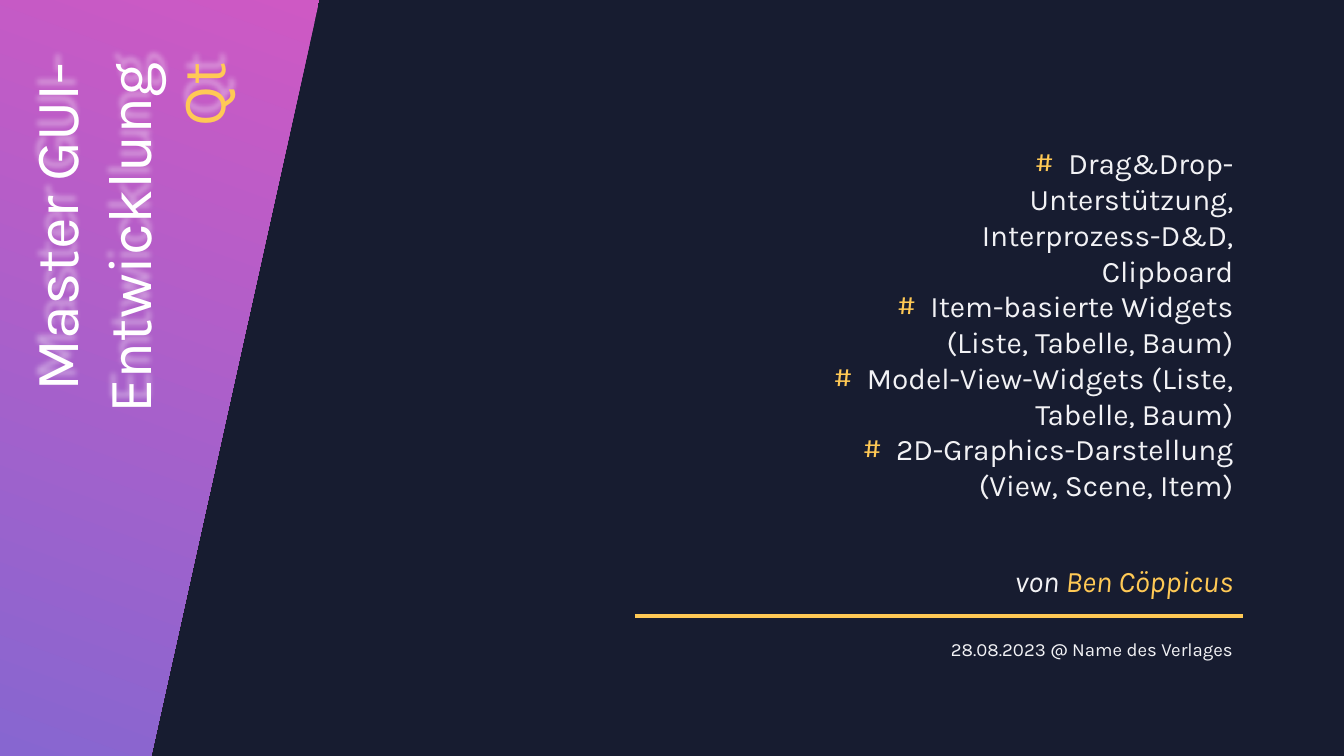
from lxml.etree import SubElement
from pptx import Presentation
from pptx.dml.color import RGBColor
from pptx.enum.shapes import MSO_CONNECTOR
from pptx.enum.text import MSO_AUTO_SIZE, PP_ALIGN
from pptx.oxml.ns import qn
from pptx.util import Cm, Pt

COLORS = {
    "night": "171C30",
    "pink": "CE59C4",
    "violet": "8766D0",
    "white": "FFFFFF",
    "pale": "F2F2F5",
    "gold": "FFC955",
}
FONT = "Karla"

# Each paragraph is a list of (text, colour) runs.
TITLE = [[("Master GUI-Entwicklung", "white")], [("Qt", "gold")]]
TOPICS = [
    [("Drag&Drop-Unterstützung, Interprozess-D&D, Clipboard", "pale")],
    [("Item-basierte Widgets (Liste, Tabelle, Baum)", "pale")],
    [("Model-View-Widgets (Liste, Tabelle, Baum)", "pale")],
    [("2D-Graphics-Darstellung (View, Scene, Item)", "pale")],
]
AUTHOR = [[("von ", "pale"), ("Ben Cöppicus", "gold")]]
DATE = [[("28.08.2023 @ Name des Verlages", "pale")]]

# Lengths in cm
SLIDE_WIDTH, SLIDE_HEIGHT = 33.87, 19.05
BAND_TOP_WIDTH, BAND_BOTTOM_WIDTH = 8.05, 3.81
RIGHT_EDGE = 31.33
RULE_LEFT, RULE_Y = 16, 15.52
BULLET_INDENT = 0.84


def rgb(name):
    return RGBColor.from_string(COLORS[name])


def add_text(slide, paragraphs, left, top, width, height, size, italic=False):
    """Add a right-aligned text box and return it."""
    box = slide.shapes.add_textbox(Cm(left), Cm(top), Cm(width), Cm(height))
    frame = box.text_frame
    frame.word_wrap = True
    frame.auto_size = MSO_AUTO_SIZE.SHAPE_TO_FIT_TEXT
    for index, runs in enumerate(paragraphs):
        paragraph = frame.add_paragraph() if index else frame.paragraphs[0]
        paragraph.alignment = PP_ALIGN.RIGHT
        for text, color in runs:
            run = paragraph.add_run()
            run.text = text
            run.font.name = FONT
            run.font.size = Pt(size)
            run.font.color.rgb = rgb(color)
            if italic:
                run.font.italic = True
    return box


def add_bullets(box, char, color):
    for paragraph in box.text_frame.paragraphs:
        props = paragraph._p.get_or_add_pPr()
        props.set("marL", str(Cm(BULLET_INDENT)))
        props.set("indent", str(-Cm(BULLET_INDENT)))
        bullet_color = SubElement(props, qn("a:buClr"))
        SubElement(bullet_color, qn("a:srgbClr"), val=COLORS[color])
        SubElement(props, qn("a:buFont"), typeface=FONT)
        SubElement(props, qn("a:buChar"), char=char)


def add_glow_above(box, color):
    """Cast a soft, translucent shadow upwards from the text."""
    effects = SubElement(box._element.spPr, qn("a:effectLst"))
    shadow = SubElement(
        effects, qn("a:outerShdw"), blurRad=str(Pt(4)), dist=str(Pt(8)),
        dir="15600000", algn="ctr", rotWithShape="0")
    tint = SubElement(shadow, qn("a:srgbClr"), val=COLORS[color])
    SubElement(tint, qn("a:alpha"), val="40000")


def add_band(slide):
    builder = slide.shapes.build_freeform(0, 0)
    builder.add_line_segments([
        (Cm(BAND_TOP_WIDTH), 0),
        (Cm(BAND_BOTTOM_WIDTH), Cm(SLIDE_HEIGHT)),
        (0, Cm(SLIDE_HEIGHT)),
    ], close=True)
    band = builder.convert_to_shape()
    band.shadow.inherit = False
    band.line.fill.background()
    band.fill.gradient()
    band.fill.gradient_angle = 250
    for stop, color in zip(band.fill.gradient_stops, ("pink", "violet")):
        stop.color.rgb = rgb(color)


def add_rule(slide):
    rule = slide.shapes.add_connector(
        MSO_CONNECTOR.STRAIGHT,
        Cm(RULE_LEFT), Cm(RULE_Y), Cm(RIGHT_EDGE), Cm(RULE_Y))
    rule.line.color.rgb = rgb("gold")
    rule.line.width = Pt(3)
    SubElement(rule._element.spPr, qn("a:effectLst"))


def main():
    deck = Presentation()
    deck.slide_width, deck.slide_height = Cm(SLIDE_WIDTH), Cm(SLIDE_HEIGHT)
    slide = deck.slides.add_slide(deck.slide_layouts[6])
    slide.background.fill.solid()
    slide.background.fill.fore_color.rgb = rgb("night")

    add_band(slide)
    title = add_text(slide, TITLE, -3.94, 5.56, 14.35, 5.89, 44)
    title.rotation = 270
    add_glow_above(title, "white")

    topics = add_text(slide, TOPICS, RIGHT_EDGE - 10.58, 3.53, 10.58, 7.54, 21.3)
    add_bullets(topics, "#", "gold")
    add_rule(slide)
    add_text(slide, AUTHOR, RIGHT_EDGE - 11.28, 14.05, 11.28, 1.17, 21.3, italic=True)
    add_text(slide, DATE, RIGHT_EDGE - 12.85, 15.95, 12.85, 0.84, 13.3)
    deck.save("out.pptx")


if __name__ == "__main__":
    main()
